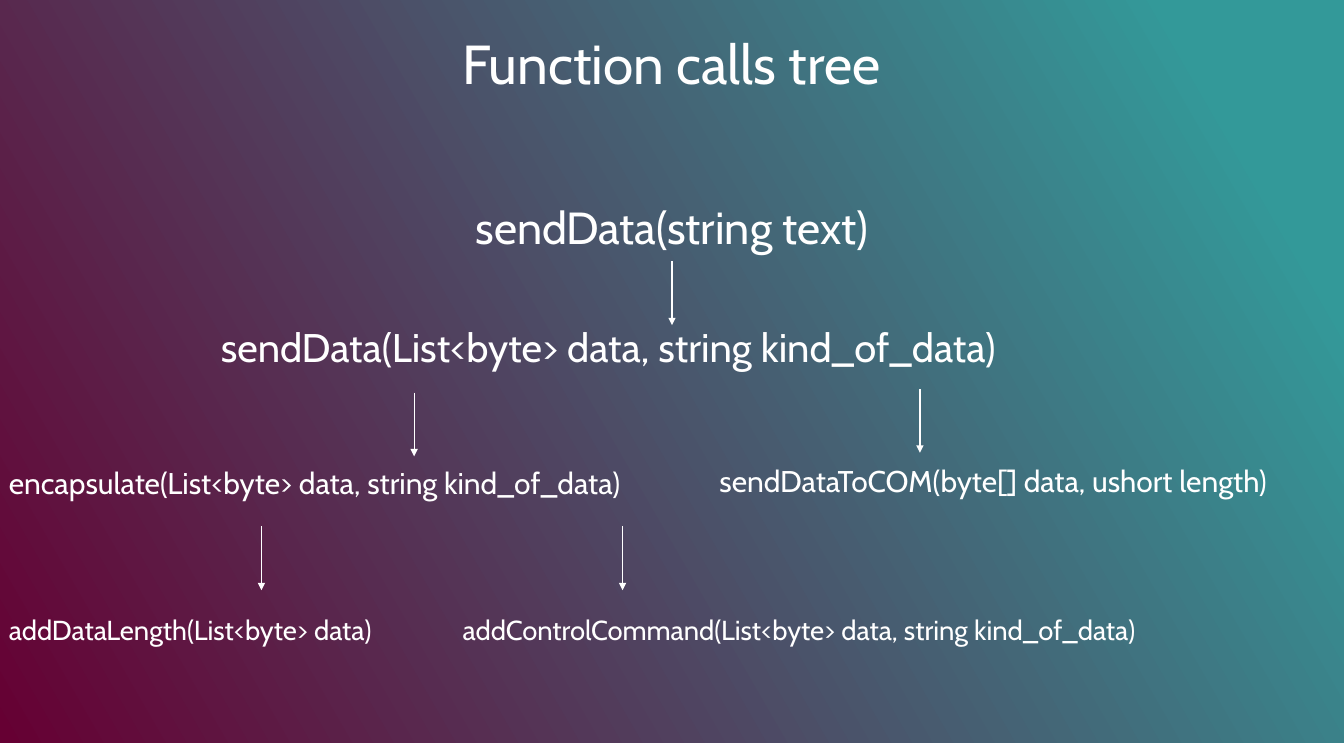
from lxml import etree
from pptx import Presentation
from pptx.dml.color import RGBColor
from pptx.enum.shapes import MSO_CONNECTOR
from pptx.enum.text import MSO_ANCHOR, MSO_AUTO_SIZE, PP_ALIGN
from pptx.oxml.ns import qn
from pptx.util import Inches, Pt

STRAIGHT = MSO_CONNECTOR.STRAIGHT
TOP, MIDDLE = MSO_ANCHOR.TOP, MSO_ANCHOR.MIDDLE
LEFT, CENTER = PP_ALIGN.LEFT, PP_ALIGN.CENTER
FIXED_SIZE = MSO_AUTO_SIZE.NONE
WHITE, TEAL, MAROON = "FFFFFF", "339999", "660033"


def color(value):
    return RGBColor.from_string(value)


def write_text(box, text, size, align, anchor, inset_x, inset_y):
    frame = box.text_frame
    frame_format = {
        "word_wrap": True,
        "auto_size": FIXED_SIZE,
        "vertical_anchor": anchor,
        "margin_left": Inches(inset_x),
        "margin_right": Inches(inset_x),
        "margin_top": Inches(inset_y),
        "margin_bottom": Inches(inset_y),
    }
    for name, value in frame_format.items():
        setattr(frame, name, value)
    para = frame.paragraphs[0]
    para.alignment = align
    span = para.add_run()
    span.text = text
    for name, value in {"name": "Cabin", "size": Pt(size), "bold": False}.items():
        setattr(span.font, name, value)
    span.font.color.rgb = color(WHITE)


deck = Presentation()
deck.slide_width = Inches(14.96)
deck.slide_height = Inches(8.27)
slide = deck.slides.add_slide(deck.slide_layouts[5])

background = slide.background.fill
background.gradient()
background.gradient_angle = 210
for stop, (position, value) in zip(background.gradient_stops, [(0.1, TEAL), (1, MAROON)]):
    stop.position = position
    stop.color.rgb = color(value)

title = slide.shapes.title
title_place = {"left": 3.47, "top": 0.28, "width": 8.01, "height": 0.83}
for name, value in title_place.items():
    setattr(title, name, Inches(value))
write_text(title, "Function calls tree", 44, CENTER, MIDDLE, 0, 0)

functions = [
    ("sendData(string text)", 4.86, 2.17, 5.24, 0.83, 36, CENTER),
    ("sendData(List<byte> data, string kind_of_data)", 2.36, 3.54, 10.24, 0.71, 32, LEFT),
    ("encapsulate(List<byte> data, string kind_of_data)", 0, 5.12, 7.87, 0.9, 24, LEFT),
    ("addDataLength(List<byte> data)", 0, 6.78, 5.03, 0.52, 22, LEFT),
    ("addControlCommand(List<byte> data, string kind_of_data)", 5.05, 6.78, 8.81, 0.54, 22, LEFT),
    ("sendDataToCOM(byte[] data, ushort length)", 7.91, 5.1, 7.09, 0.61, 24, LEFT),
]
for text, left, top, width, height, size, align in functions:
    box = slide.shapes.add_textbox(Inches(left), Inches(top), Inches(width), Inches(height))
    write_text(box, text, size, align, TOP, 0.1, 0.05)

call_length = 0.71
call_starts = [(7.48, 2.91), (4.61, 4.37), (10.24, 4.33), (6.93, 5.86), (2.91, 5.86)]
for x, y in call_starts:
    arrow = slide.shapes.add_connector(
        STRAIGHT, Inches(x), Inches(y), Inches(x), Inches(y + call_length)
    )
    arrow.line.color.rgb = color(WHITE)
    arrow.line.width = Pt(1)
    properties = arrow._element.spPr
    etree.SubElement(properties.find(qn("a:ln")), qn("a:tailEnd"), type="triangle")
    etree.SubElement(properties, qn("a:effectLst"))

deck.save("out.pptx")
